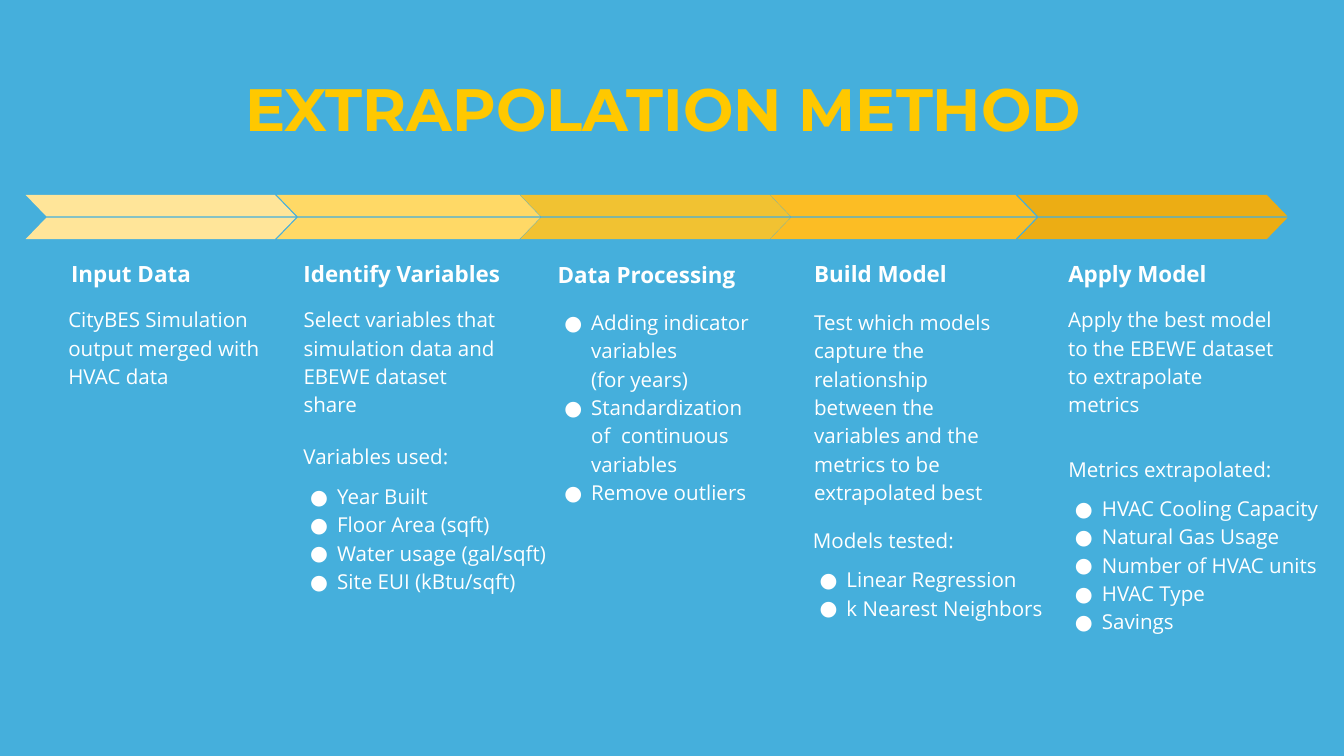
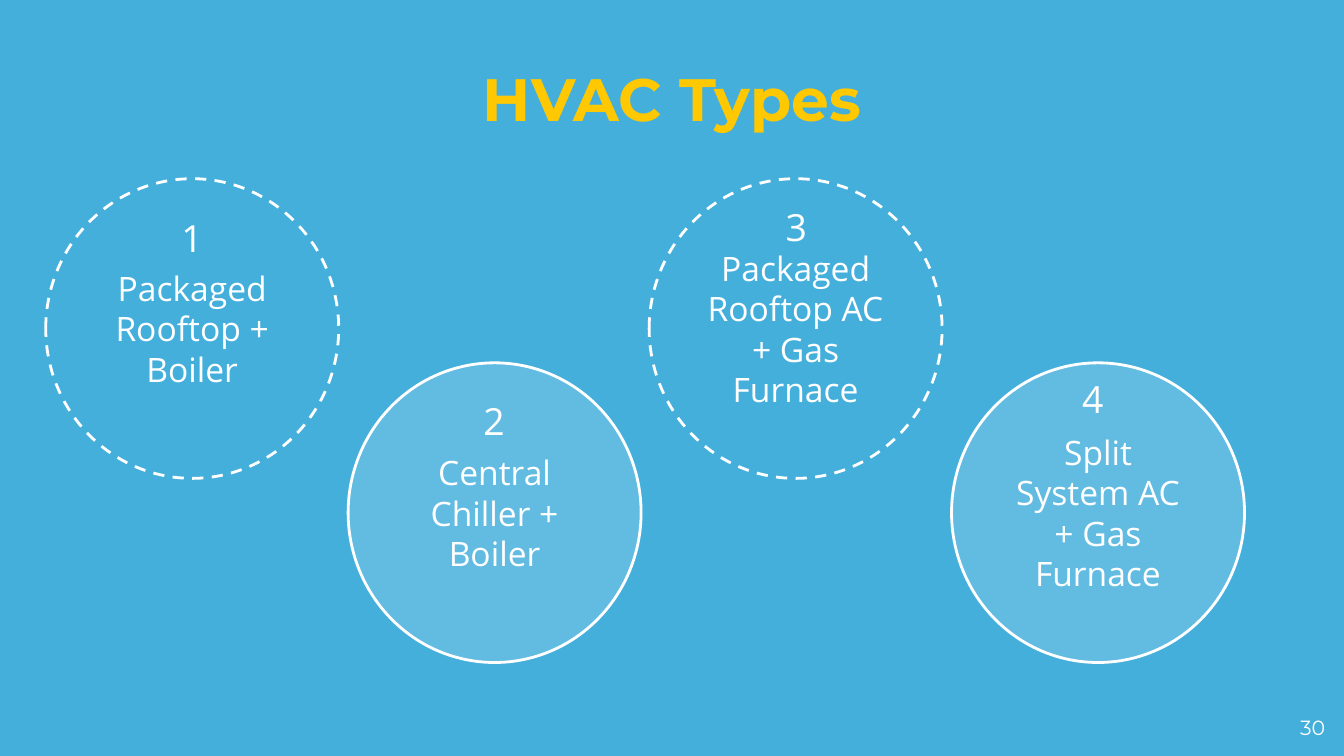
from copy import deepcopy
from dataclasses import dataclass
from typing import NamedTuple

from lxml import etree
from pptx import Presentation
from pptx.dml.color import RGBColor
from pptx.enum.dml import MSO_LINE
from pptx.enum.shapes import MSO_SHAPE
from pptx.enum.text import MSO_ANCHOR, MSO_AUTO_SIZE, PP_ALIGN
from pptx.oxml.ns import qn
from pptx.util import Emu, Pt

# Enum members
TOP, MIDDLE, BOTTOM = MSO_ANCHOR.TOP, MSO_ANCHOR.MIDDLE, MSO_ANCHOR.BOTTOM
LEFT, CENTER, RIGHT = PP_ALIGN.LEFT, PP_ALIGN.CENTER, PP_ALIGN.RIGHT
NO_AUTOFIT = MSO_AUTO_SIZE.NONE
PARALLELOGRAM, OVAL = MSO_SHAPE.PARALLELOGRAM, MSO_SHAPE.OVAL
DASH = MSO_LINE.DASH

# Lengths are in px, 100 to the inch; the slide is 16:9
EMU_PER_PX = 9144
SLIDE_WIDTH = 1000
INSET = 10
BULLET_MARGIN, BULLET_HANG = 25, 20
TITLE_ONLY_LAYOUT = 5

COLORS = {
    "background": "45AFDC",
    "title": "FFC800",
    "white": "FFFFFF",
    "input": "FFE599",
    "identify": "FFD966",
    "processing": "F1C232",
    "build": "FCBD24",
    "apply": "ECAD14",
}
FONTS = {
    "title": {"name": "Montserrat", "size": Pt(32), "bold": True},
    "heading": {"name": "Open Sans", "size": Pt(12), "bold": True},
    "body": {"name": "Open Sans", "size": Pt(11), "bold": False},
    "circle": {"name": "Open Sans", "size": Pt(18), "bold": False},
    "number": {"name": "Open Sans", "size": Pt(20), "bold": False},
    "page": {"name": "Montserrat", "size": Pt(11), "bold": False},
}


class Box(NamedTuple):
    left: int
    top: int
    width: int
    height: int


class Line(NamedTuple):
    text: str
    bullet: bool = False
    space_before: int = 0


@dataclass(frozen=True)
class Stage:
    heading: str
    color: str
    arrow_left: int
    arrow_width: int
    heading_box: Box
    body_box: Box
    body: list[Line]


@dataclass(frozen=True)
class HvacType:
    name: str
    number_box: Box


def bullets(*items: str, space_before: int = 0) -> list[Line]:
    return [Line(item, True, 0 if index else space_before) for index, item in enumerate(items)]


def titled_list(title: str, *items: str) -> list[Line]:
    return [Line(title), *bullets(*items, space_before=6)]


# Slide 1 content
ARROW_TOPS, ARROW_HEIGHT, ARROW_SLANT = (145, 162), 16, 0.97
STAGES = [
    Stage("Input Data", "input", 19, 201, Box(43, 179, 165, 49), Box(41, 216, 169, 81),
          [Line("CityBES Simulation output merged with HVAC data")]),
    Stage("Identify Variables", "identify", 206, 196, Box(216, 179, 196, 49), Box(216, 216, 165, 81),
          [Line("Select variables that simulation data and EBEWE dataset share")]),
    Stage("Data Processing", "processing", 387, 201, Box(405, 180, 201, 49), Box(405, 218, 169, 181),
          bullets("Adding indicator variables\v(for years)",
                  "Standardization of  continuous variables", "Remove outliers")),
    Stage("Build Model", "build", 573, 198, Box(596, 179, 198, 49), Box(596, 218, 167, 162),
          [Line("Test which models capture the relationship between the variables "
                "and the metrics to be extrapolated best")]),
    Stage("Apply Model", "apply", 757, 201, Box(785, 179, 201, 49), Box(785, 216, 176, 81),
          [Line("Apply the best model to the EBEWE dataset to extrapolate metrics")]),
]
DETAILS = [
    (Box(216, 318, 240, 141),
     titled_list("Variables used:", "Year Built", "Floor Area (sqft)",
                 "Water usage (gal/sqft)", "Site EUI (kBtu/sqft)")),
    (Box(595, 380, 240, 141),
     titled_list("Models tested:", "Linear Regression", "k Nearest Neighbors")),
    (Box(785, 327, 215, 154),
     titled_list("Metrics extrapolated:", "HVAC Cooling Capacity", "Natural Gas Usage",
                 "Number of HVAC units", "HVAC Type", "Savings")),
]

# Slide 2 content: circles alternate between an upper and a lower row
CIRCLE_LEFT, CIRCLE_SPAN, CIRCLE_TOPS = 34, 674, (133, 270)
CIRCLE_WIDTH, CIRCLE_HEIGHT, CIRCLE_OPACITY = 218, 223, 16
HVAC_TYPES = [
    HvacType("Packaged Rooftop + Boiler", Box(113, 150, 60, 54)),
    HvacType("Central Chiller + Boiler", Box(327, 286, 81, 54)),
    HvacType("Packaged Rooftop AC + Gas Furnace", Box(547, 142, 91, 54)),
    HvacType("Split System AC + Gas Furnace", Box(777, 270, 72, 54)),
]


def px(length: int) -> Emu:
    return Emu(length * EMU_PER_PX)


def scaled(box: Box) -> list[Emu]:
    return [px(length) for length in box]


def rgb(color: str) -> RGBColor:
    return RGBColor.from_string(COLORS[color])


def add_bullet(paragraph, style: str) -> None:
    font = FONTS[style]
    properties = paragraph._p.get_or_add_pPr()
    properties.set("marL", str(px(BULLET_MARGIN)))
    properties.set("indent", str(-px(BULLET_HANG)))
    bullet_color = etree.SubElement(properties, qn("a:buClr"))
    etree.SubElement(bullet_color, qn("a:srgbClr"), val=COLORS["white"])
    etree.SubElement(properties, qn("a:buSzPts"), val=str(int(font["size"].pt * 100)))
    etree.SubElement(properties, qn("a:buFont"), typeface=font["name"])
    etree.SubElement(properties, qn("a:buChar"), char="●")


def write_text(shape, lines: list[Line], style: str, color: str = "white", align=LEFT,
               anchor=TOP, line_spacing: float = 1.0) -> None:
    frame = shape.text_frame
    frame_format = {
        "word_wrap": True, "auto_size": NO_AUTOFIT, "vertical_anchor": anchor,
        "margin_left": px(INSET), "margin_right": px(INSET),
        "margin_top": px(INSET), "margin_bottom": px(INSET),
    }
    for name, value in frame_format.items():
        setattr(frame, name, value)
    for index, line in enumerate(lines):
        paragraph = frame.add_paragraph() if index else frame.paragraphs[0]
        paragraph.text = line.text
        paragraph_format = {"alignment": align, "line_spacing": line_spacing,
                            "space_before": Pt(line.space_before)}
        for name, value in paragraph_format.items():
            setattr(paragraph, name, value)
        if line.bullet:
            add_bullet(paragraph, style)
        for run in paragraph.runs:
            for name, value in FONTS[style].items():
                setattr(run.font, name, value)
            run.font.color.rgb = rgb(color)
        # Line breaks take the size of the text around them
        for line_break in paragraph._p.findall(qn("a:br")):
            line_break.insert(0, deepcopy(paragraph.runs[0]._r.rPr))


def add_text(shapes, box: Box, lines: list[Line], style: str, **text_format) -> None:
    write_text(shapes.add_textbox(*scaled(box)), lines, style, **text_format)


def add_titled_slide(presentation, title: str, box: Box, anchor):
    slide = presentation.slides.add_slide(presentation.slide_layouts[TITLE_ONLY_LAYOUT])
    placeholder = slide.shapes.title
    for name, value in zip(Box._fields, scaled(box)):
        setattr(placeholder, name, value)
    write_text(placeholder, [Line(title)], "title", "title", CENTER, anchor)
    return slide


def add_stage(slide, stage: Stage) -> None:
    shapes = slide.shapes.add_group_shape().shapes
    add_text(shapes, stage.heading_box, [Line(stage.heading)], "heading", anchor=MIDDLE)
    add_text(shapes, stage.body_box, stage.body, "body", line_spacing=1.15)
    # The upper half of the arrow mirrors the lower half
    for top in ARROW_TOPS:
        box = Box(stage.arrow_left, top, stage.arrow_width, ARROW_HEIGHT)
        half = shapes.add_shape(PARALLELOGRAM, *scaled(box))
        half.shadow.inherit = False
        half.adjustments[0] = ARROW_SLANT
        half.fill.solid()
        half.fill.fore_color.rgb = rgb(stage.color)
        half.line.fill.background()
        if top == ARROW_TOPS[0]:
            half.element.spPr.get_or_add_xfrm().set("flipH", "1")


def add_circle(slide, index: int, hvac_type: HvacType) -> None:
    lower_row = index % 2
    left = CIRCLE_LEFT + round(index * CIRCLE_SPAN / (len(HVAC_TYPES) - 1))
    box = Box(left, CIRCLE_TOPS[lower_row], CIRCLE_WIDTH, CIRCLE_HEIGHT)
    circle = slide.shapes.add_shape(OVAL, *scaled(box))
    circle.shadow.inherit = False
    circle.line.color.rgb = rgb("white")
    circle.line.width = Pt(1.5)
    if lower_row:
        circle.fill.solid()
        circle.fill.fore_color.rgb = rgb("white")
        fill_color = circle.element.spPr.find(qn("a:solidFill")).find(qn("a:srgbClr"))
        etree.SubElement(fill_color, qn("a:alpha"), val=str(CIRCLE_OPACITY * 1000))
    else:
        circle.fill.background()
        circle.line.dash_style = DASH
    write_text(circle, [Line(hvac_type.name)], "circle", align=CENTER, anchor=MIDDLE)
    add_text(slide.shapes, hvac_type.number_box, [Line(str(index + 1))], "number", align=CENTER)


def build_method_slide(presentation) -> None:
    slide = add_titled_slide(presentation, "EXTRAPOLATION METHOD ", Box(50, 0, 900, 117), BOTTOM)
    for stage in STAGES:
        add_stage(slide, stage)
    for box, lines in DETAILS:
        add_text(slide.shapes, box, lines, "body", line_spacing=1.15)


def build_types_slide(presentation) -> None:
    slide = add_titled_slide(presentation, "HVAC Types", Box(50, 36, 900, 63), TOP)
    for index, hvac_type in enumerate(HVAC_TYPES):
        add_circle(slide, index, hvac_type)
    add_text(slide.shapes, Box(936, 522, 60, 32), [Line("30")], "page", align=RIGHT)


def main() -> None:
    presentation = Presentation()
    presentation.slide_width = px(SLIDE_WIDTH)
    presentation.slide_height = Emu(px(SLIDE_WIDTH) * 9 // 16)
    background = presentation.slide_master.background.fill
    background.solid()
    background.fore_color.rgb = rgb("background")
    build_method_slide(presentation)
    build_types_slide(presentation)
    presentation.save("out.pptx")


if __name__ == "__main__":
    main()
